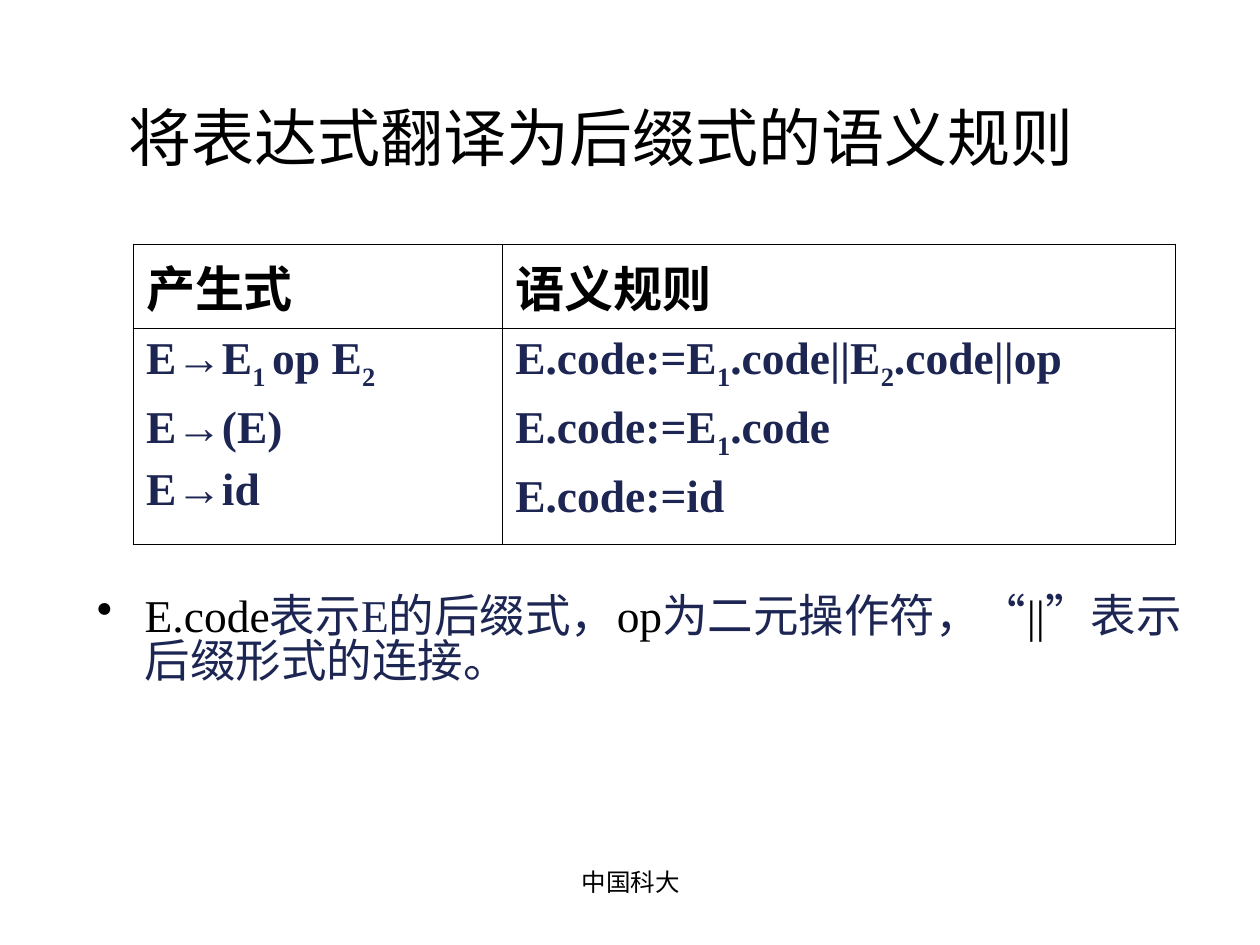
"""Build a slide on the semantic rules that turn expressions into postfix form."""
from lxml import etree
from pptx import Presentation
from pptx.dml.color import RGBColor
from pptx.enum.text import MSO_ANCHOR, PP_ALIGN
from pptx.oxml.ns import qn
from pptx.util import Inches, Pt

CENTER = PP_ALIGN.CENTER
MIDDLE = MSO_ANCHOR.MIDDLE
BLACK = RGBColor(0, 0, 0)
NAVY = RGBColor(0x1D, 0x26, 0x53)
FONT = "Times New Roman"
OUTER, INNER = Pt(1.08), Pt(0.45)


def add_span(para, text, size, color, bold=False, subscript=False):
    """Append one formatted run to a paragraph."""
    span = para.add_run()
    span.text = text
    span.font.name = FONT
    span.font.size = Pt(size)
    span.font.bold = bold
    span.font.color.rgb = color
    if subscript:
        span.font._element.set("baseline", "-25000")


def add_border(cell, side, width):
    """Draw one side of a table cell in black."""
    line = etree.SubElement(cell._tc.get_or_add_tcPr(), qn(f"a:ln{side}"), w=str(width))
    fill = etree.SubElement(line, qn("a:solidFill"))
    etree.SubElement(fill, qn("a:srgbClr"), val=str(BLACK))


deck = Presentation()
deck.slide_width, deck.slide_height = Inches(10), Inches(7.5)
page = deck.slides.add_slide(deck.slide_layouts[5])

title = page.shapes.title
title.left, title.top = Inches(0.27), Inches(0.68)
title.width, title.height = Inches(9), Inches(0.81)
title.text_frame.vertical_anchor = MIDDLE
para = title.text_frame.paragraphs[0]
para.alignment = CENTER
add_span(para, "将表达式翻译为后缀式的语义规则", 36, BLACK)

column_widths = [2.93, 5.34]
row_heights = [0.66, 1.72]
rules = [
    [[["产生式"]], [["语义规则"]]],
    [
        [["E→E", "1 ", "op E", "2"], ["E→(E)"], ["E→id"]],
        [
            ["E.code:=E", "1", ".code||E", "2", ".code||op"],
            ["E.code:=E", "1", ".code"],
            ["E.code:=id"],
        ],
    ],
]
table = page.shapes.add_table(
    2, 2, Inches(1.06), Inches(1.94), Inches(sum(column_widths)), Inches(sum(row_heights))
).table
for column, width in zip(table.columns, column_widths):
    column.width = Inches(width)
for row, height in zip(table.rows, row_heights):
    row.height = Inches(height)

for r, row_rules in enumerate(rules):
    size, color = [(28, BLACK), (26, NAVY)][r]
    for c, lines in enumerate(row_rules):
        cell = table.cell(r, c)
        for side, is_outer in zip("LRTB", (c == 0, c == 1, r == 0, r == 1)):
            add_border(cell, side, OUTER if is_outer else INNER)
        cell.fill.background()
        for i, parts in enumerate(lines):
            para = cell.text_frame.add_paragraph() if i else cell.text_frame.paragraphs[0]
            if i:
                para.space_before = Pt(6.5)
            for k, part in enumerate(parts):
                add_span(para, part, size, color, bold=True, subscript=k % 2 == 1)

box = page.shapes.add_textbox(Inches(0.67), Inches(4.69), Inches(8.98), Inches(1.02))
box.text_frame.word_wrap = True
para = box.text_frame.paragraphs[0]
para.line_spacing = 0.82
properties = para._p.get_or_add_pPr()
properties.set("marL", str(Inches(0.38)))
properties.set("indent", str(-Inches(0.38)))
bullet_color = etree.SubElement(properties, qn("a:buClr"))
etree.SubElement(bullet_color, qn("a:srgbClr"), val=str(BLACK))
etree.SubElement(properties, qn("a:buChar"), char="•")
for text, color in [
    ("E.code", BLACK),
    ("表示E的后缀式，", NAVY),
    ("op", BLACK),
    ("为二元操作符，“", NAVY),
    ("||", BLACK),
    ("”表示后缀形式的连接。", NAVY),
]:
    add_span(para, text, 26, color)

footer = page.shapes.add_textbox(Inches(3.42), Inches(6.83), Inches(3.17), Inches(0.52))
footer.text_frame.word_wrap = True
para = footer.text_frame.paragraphs[0]
para.alignment = CENTER
add_span(para, "中国科大", 14, BLACK)

deck.save("out.pptx")
